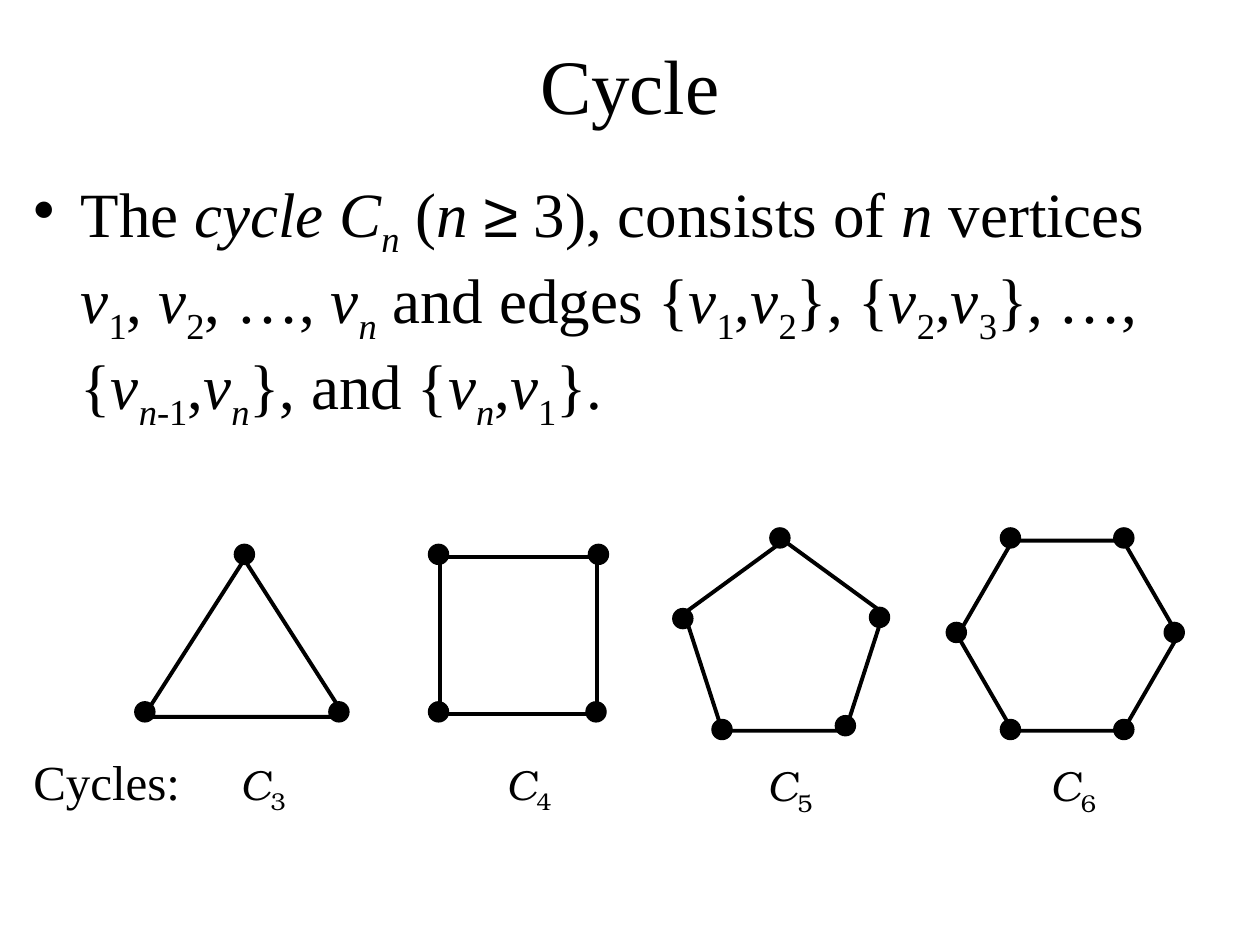
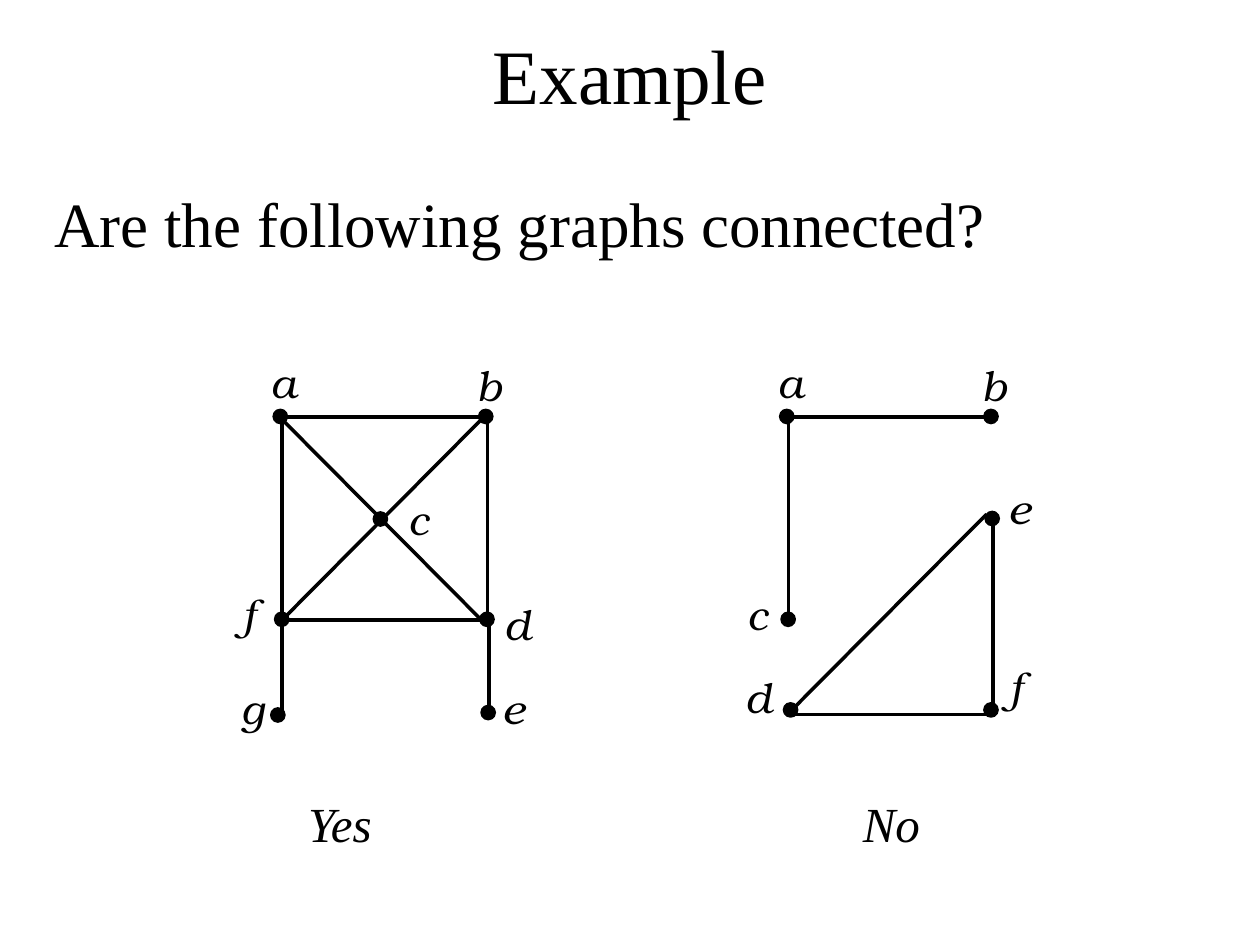
from dataclasses import dataclass
from itertools import groupby

from lxml import etree
from pptx import Presentation
from pptx.dml.color import RGBColor
from pptx.enum.shapes import MSO_CONNECTOR, MSO_SHAPE
from pptx.enum.text import MSO_ANCHOR, PP_ALIGN
from pptx.oxml.ns import qn
from pptx.util import Pt

DOT = MSO_SHAPE.OVAL
TRI = MSO_SHAPE.ISOSCELES_TRIANGLE
RECT = MSO_SHAPE.RECTANGLE
PENT = MSO_SHAPE.REGULAR_PENTAGON
HEX = MSO_SHAPE.HEXAGON
LINE = MSO_CONNECTOR.STRAIGHT
TOP = MSO_ANCHOR.TOP
MID = MSO_ANCHOR.MIDDLE
LEFT = PP_ALIGN.LEFT
CENTER = PP_ALIGN.CENTER


@dataclass(frozen=True)
class Theme:
    ink: RGBColor = RGBColor(0, 0, 0)
    paper: RGBColor = RGBColor(255, 255, 255)
    serif: str = "Times New Roman"
    math: str = "TeX Gyre Bonum"
    sans: str = "Arial"
    title: float = 44
    body: float = 36
    note: float = 28
    label: float = 24


THEME = Theme()

CYCLES = [
    (3, TRI, (82, 319.7, 115.2, 90), (130.3, 429.8),
     [(82.8, 406.8), (139.7, 316.8), (193.7, 406.8)]),
    (4, RECT, (251.3, 318.2, 90, 90), (282.2, 429.8),
     [(250.6, 406.8), (250.6, 316.8), (342, 316.8), (340.6, 406.8)]),
    (5, PENT, (391, 308.9, 113.8, 108.7), (431.3, 430.6),
     [(445.7, 307.4), (502.6, 352.8), (483.1, 414.7), (412.6, 416.9),
      (390.2, 353.5)]),
    (6, HEX, (547.2, 308.9, 126, 108.7), (593.3, 430.6),
     [(671, 361.4), (642.2, 307.4), (642.2, 416.9), (577.4, 416.9),
      (546.5, 361.4), (577.4, 307.4)]),
]

JOINED = (
    {
        "a": ((160.2, 238), (154.8, 203.8)),
        "b": ((277.6, 238), (272.2, 205.2)),
        "c": ((217.4, 296.6), (233.3, 282.2)),
        "d": ((278.3, 353.9), (288, 342)),
        "e": ((279, 407.2), (287.3, 390.2)),
        "f": ((161, 353.9), (138.2, 336.2)),
        "g": ((158.8, 408.6), (138.2, 390.2)),
    },
    [
        (164.2, 238.3, 280.1, 238.3),
        (161.3, 239, 161.3, 354.2),
        (278.6, 239, 278.6, 354.2),
        (162, 354.2, 277.9, 354.2),
        (161.3, 239.8, 275, 354.2),
        (275, 239.8, 161.3, 354.2),
        (279.4, 354.2, 279.4, 406.8),
        (161.3, 355, 161.3, 408.2),
    ],
)

SPLIT = (
    {
        "a": ((449.6, 238), (444.2, 203.8)),
        "b": ((566.3, 238), (560.9, 205.2)),
        "c": ((450.4, 353.9), (427, 336.2)),
        "d": ((451.8, 405.7), (426.2, 383.8)),
        "e": ((567, 296.3), (576, 275.8)),
        "f": ((566.3, 405.7), (576, 378)),
    },
    [
        (453.6, 238.3, 568.8, 238.3),
        (450.7, 239, 450.7, 354.2),
        (567.4, 292.3, 567.4, 408.2),
        (563.8, 293.8, 450, 408.2),
        (451.4, 408.2, 567.4, 408.2),
    ],
)


def marks(text):
    state = frozenset()
    for char in text:
        if char in "*_~":
            state ^= {char}
        else:
            yield char, state


def write(shapes, text, box, size, font=THEME.serif, align=LEFT, anchor=TOP,
          inset=(7.2, 3.6), wrap=True, bullet=None, tabs=()):
    """Format marks: * italic, _ subscript, ~ sans."""
    frame = shapes.add_textbox(*map(Pt, box)).text_frame
    frame.word_wrap = wrap
    frame.vertical_anchor = anchor
    frame.margin_left = frame.margin_right = Pt(inset[0])
    frame.margin_top = frame.margin_bottom = Pt(inset[1])
    para = frame.paragraphs[0]
    para.alignment = align
    props = para._p.get_or_add_pPr()
    if bullet:
        props.set("marL", str(Pt(27)))
        props.set("indent", str(-Pt(27)))
        etree.SubElement(props, qn("a:buChar"), char=bullet)
    if tabs:
        stops = etree.SubElement(props, qn("a:tabLst"))
        for stop in tabs:
            etree.SubElement(stops, qn("a:tab"), pos=str(Pt(stop)), algn="l")
    for state, chars in groupby(marks(text), key=lambda pair: pair[1]):
        run = para.add_run()
        run.text = "".join(char for char, _ in chars)
        run.font.size = Pt(size)
        run.font.name = THEME.sans if "~" in state else font
        run.font.italic = "*" in state
        run.font.color.rgb = THEME.ink
        if "_" in state:
            run._r.get_or_add_rPr().set("baseline", "-25000")


def shape(shapes, kind, box, width, solid=False):
    form = shapes.add_shape(kind, *map(Pt, box))
    form.shadow.inherit = False
    if solid:
        form.fill.solid()
        form.fill.fore_color.rgb = THEME.ink
    else:
        form.fill.background()
    form.line.color.rgb = THEME.ink
    form.line.width = Pt(width)
    return form


def dot(shapes, spot, size, width):
    x, y = spot
    shape(shapes, DOT, (x - size / 2, y - size / 2, size, size), width, True)


def edge(shapes, ends):
    line = shapes.add_connector(LINE, *map(Pt, ends))
    line.line.color.rgb = THEME.ink
    line.line.width = Pt(2)
    etree.SubElement(line._element.spPr, qn("a:effectLst"))


def cycle(slide, count, kind, box, place, spots):
    shapes = slide.shapes.add_group_shape().shapes
    form = shape(shapes, kind, box, 2.25)
    if kind == HEX:
        form.adjustments[0] = 0.289
    for spot in spots:
        dot(shapes, spot, 11.5, 0.75)
    write(shapes, f"*C*_{count}_", (*place, 40.3, 40.3), THEME.label,
          font=THEME.math, wrap=False)


def graph(slide, nodes, edges):
    shapes = slide.shapes.add_group_shape().shapes
    for ends in edges:
        edge(shapes, ends)
    for name, (spot, place) in nodes.items():
        dot(shapes, spot, 8, 1)
        write(shapes, f"*{name}*", (*place, 23, 28.8), THEME.label,
              font=THEME.math, inset=(0, 0))


def page(deck, title, height):
    slide = deck.slides.add_slide(deck.slide_layouts[6])
    slide.background.fill.solid()
    slide.background.fill.fore_color.rgb = THEME.paper
    write(slide.shapes, title, (36, 12, 648, height), THEME.title,
          align=CENTER, anchor=MID)
    return slide


def cycles(deck):
    slide = page(deck, "Cycle", 72)
    write(slide.shapes,
          "The *cycle C_n_* (*n *~≥~ 3), consists of *n* vertices "
          "*v*_1_, *v*_2_, …, *v_n_* and edges {*v*_1_,*v*_2_}, "
          "{*v*_2_,*v*_3_}, …, {*v_n*-1_,*v_n_*}, and {*v_n_*,*v*_1_}.",
          (12, 96, 684, 162), THEME.body, bullet="•")
    for item in CYCLES:
        cycle(slide, *item)
    write(slide.shapes, "Cycles:", (12, 426, 114, 41), THEME.note)


def example(deck):
    slide = page(deck, "Example", 60)
    write(slide.shapes, "Are the following graphs connected?",
          (24, 102, 648, 59), THEME.body)
    for item in (JOINED, SPLIT):
        graph(slide, *item)
    write(slide.shapes, "\t*Yes\tNo*", (54, 450, 624, 41), THEME.note,
          tabs=(115, 432))


def main():
    deck = Presentation()
    deck.slide_width, deck.slide_height = Pt(720), Pt(540)
    cycles(deck)
    example(deck)
    deck.save("out.pptx")


if __name__ == "__main__":
    main()
